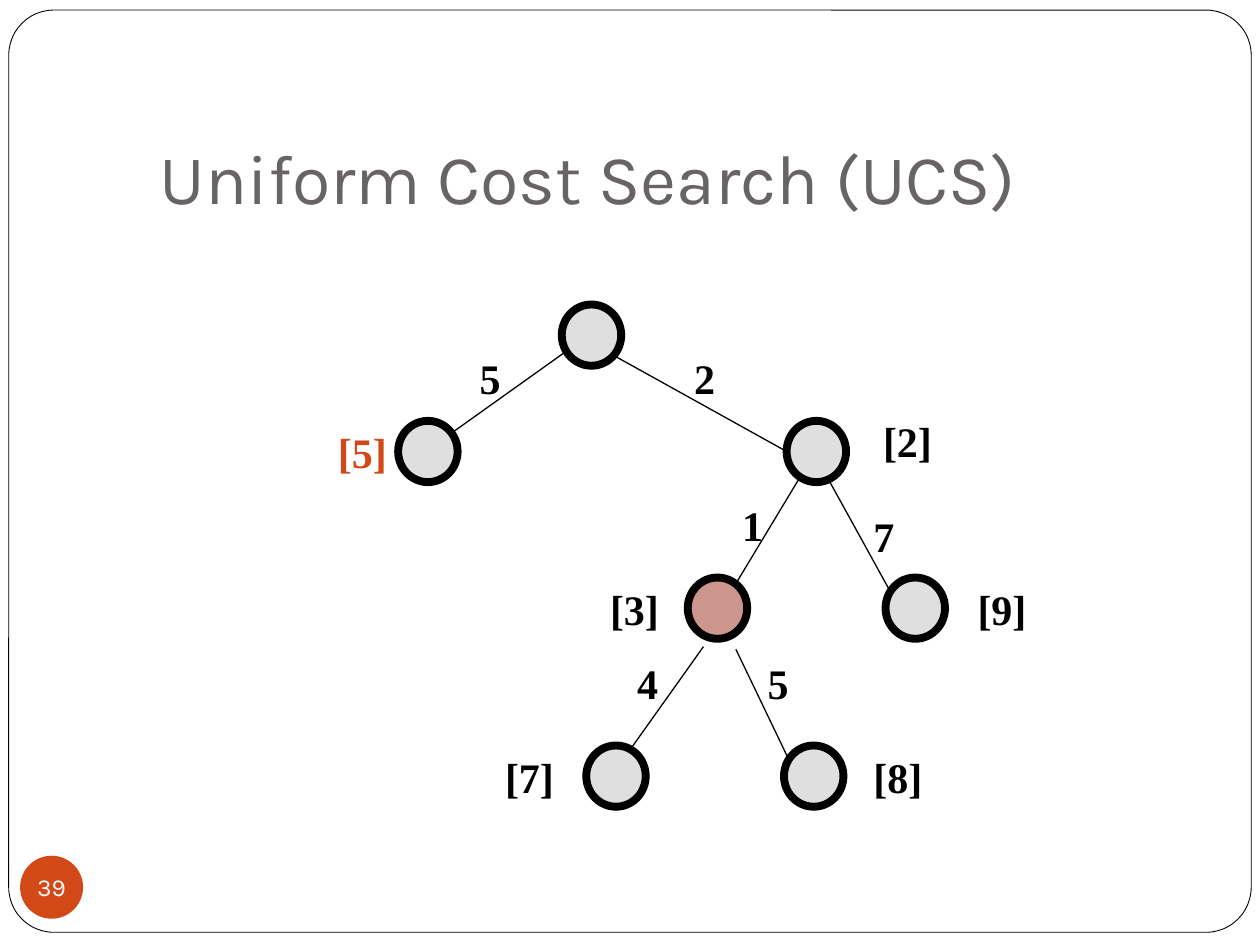
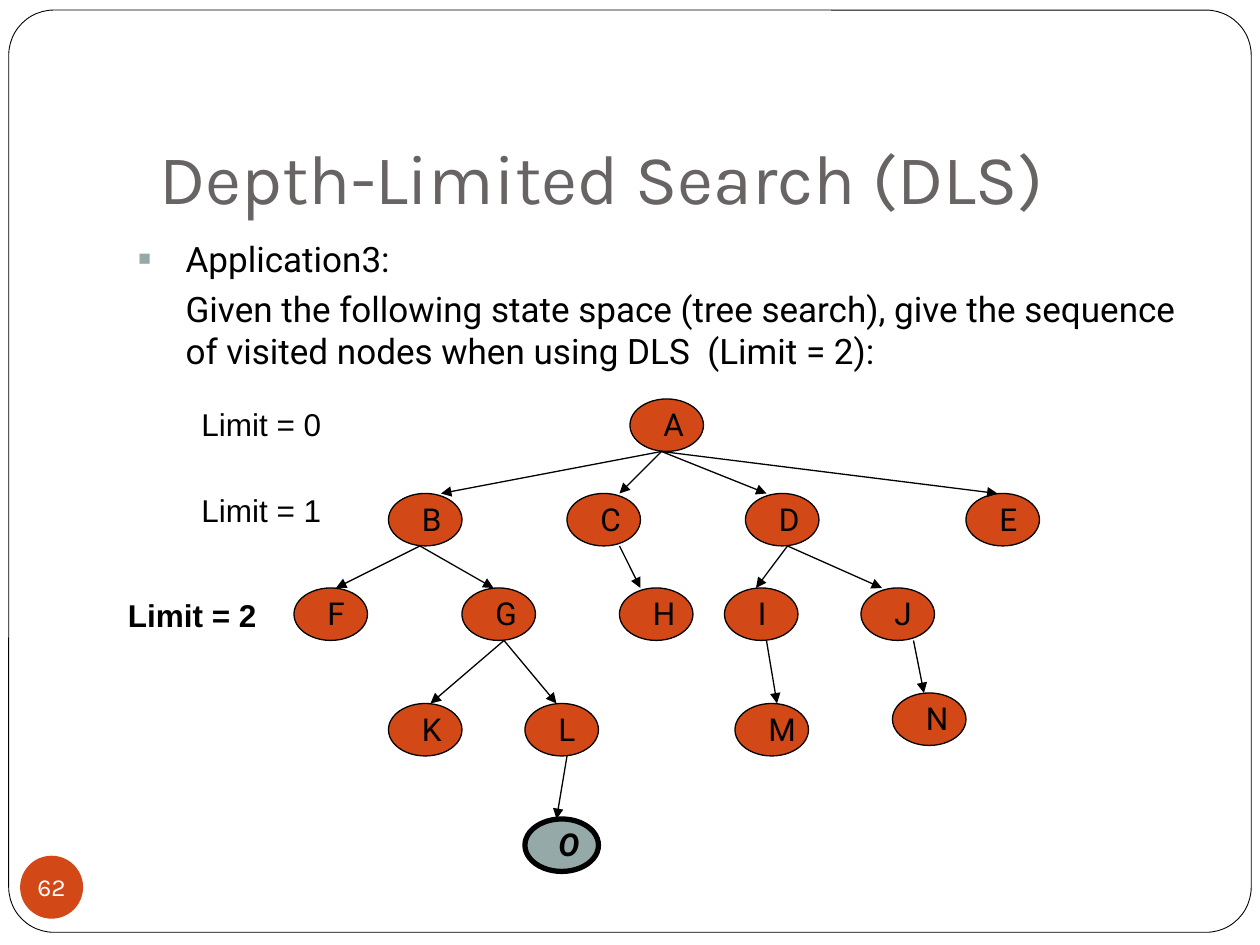
from dataclasses import dataclass
from typing import Any

import pptx
import pptx.dml.color
import pptx.enum.shapes
import pptx.enum.text
import pptx.oxml
import pptx.oxml.ns
import pptx.util

Pt = pptx.util.Pt
Shape = pptx.enum.shapes.MSO_SHAPE
Anchor = pptx.enum.text.MSO_ANCHOR
Align = pptx.enum.text.PP_ALIGN

BLACK, WHITE = "000000", "FFFFFF"
ORANGE, SAGE, GREY, SILVER, RUST = "D34817", "96A9A9", "696464", "C0C0C0", "9B2D1F"
TITLE_FONT, BODY_FONT, COST_FONT, LIMIT_FONT = "Karla", "Roboto", "Times New Roman", "Arial"


@dataclass(frozen=True)
class Style:
    font: str
    size: float
    color: str = BLACK
    bold: bool = False
    italic: bool = False


@dataclass(frozen=True)
class CostNode:
    left: float
    top: float
    fill: str = SILVER


@dataclass(frozen=True)
class CostEdge:
    start: tuple[float, float]
    end: tuple[float, float]


@dataclass(frozen=True)
class Label:
    text: str
    left: float
    top: float
    style: Style


@dataclass(frozen=True)
class TreeNode:
    """head and foot are the offsets where arrows arrive on top and leave below."""
    name: str
    left: float
    top: float
    parent: str = ""
    head: float = 18
    foot: float = 18
    goal: bool = False


TITLE = Style(TITLE_FONT, 40, GREY)
NUMBER = Style(TITLE_FONT, 14, WHITE)
BODY = Style(BODY_FONT, 20)
COST = Style(COST_FONT, 24, bold=True)
FRONTIER_COST = Style(COST_FONT, 24, ORANGE, bold=True)
NODE = Style(BODY_FONT, 18)
GOAL = Style(BODY_FONT, 18, bold=True, italic=True)
LIMIT = Style(LIMIT_FONT, 18)
LAST_LIMIT = Style(LIMIT_FONT, 18, bold=True)

COST_NODE_W, COST_NODE_H = 34, 35
TREE_NODE_W, TREE_NODE_H = 42, 30
LABEL_INDENT = 12

COST_NODES = [
    CostNode(321, 174),
    CostNode(227.5, 240.5), CostNode(449.5, 240.5),
    CostNode(506, 330), CostNode(393, 330, RUST),
    CostNode(448, 426), CostNode(335, 426),
]
COST_EDGES = [
    CostEdge((322.5, 201.5), (258, 247.5)), CostEdge((350.5, 203), (449.5, 258)),
    CostEdge((457, 273), (420.5, 333.5)), CostEdge((474, 275), (509, 338.5)),
    CostEdge((402, 369.5), (360, 428.5)), CostEdge((420.5, 371), (450, 432.5)),
]
STEP_COSTS = [
    Label("2", 389.5, 198, COST), Label("5", 267, 198, COST),
    Label("1", 417, 282, COST), Label("7", 492, 288, COST),
    Label("4", 357, 372, COST), Label("5", 431.5, 372, COST),
]
PATH_COSTS = [
    Label("[5]", 186, 240, FRONTIER_COST), Label("[2]", 497.5, 234, COST),
    Label("[9]", 551.5, 330, COST), Label("[3]", 341.5, 330, COST),
    Label("[7]", 281.5, 426, COST), Label("[8]", 492, 426, COST),
]
TREE_NODES = [
    TreeNode("A", 360, 228),
    TreeNode("B", 222, 282, "A", head=30),
    TreeNode("C", 324, 282, "A", head=30, foot=30),
    TreeNode("D", 426, 282, "A", head=12, foot=24),
    TreeNode("E", 552, 282, "A"),
    TreeNode("F", 168, 336, "B", head=24),
    TreeNode("G", 264, 336, "B", foot=24),
    TreeNode("H", 354, 336, "C", head=12),
    TreeNode("I", 414, 336, "D", foot=24),
    TreeNode("J", 492, 336, "D", head=12, foot=30),
    TreeNode("K", 222, 402, "G", head=24),
    TreeNode("L", 300, 402, "G", foot=24),
    TreeNode("M", 420, 402, "I", head=24),
    TreeNode("N", 510, 396, "J"),
    TreeNode("O", 300, 468, "L", goal=True),
]
LIMITS = [
    Label("Limit = 0", 108, 228, LIMIT),
    Label("Limit = 1", 108, 277, LIMIT),
    Label("Limit = 2", 66, 337, LAST_LIMIT),
]


def rgb(color: str) -> pptx.dml.color.RGBColor:
    return pptx.dml.color.RGBColor.from_string(color)


def add_xml(parent: Any, tag: str, **attributes: str) -> Any:
    child = pptx.oxml.parse_xml(f"<a:{tag} {pptx.oxml.ns.nsdecls('a')}/>")
    for name, value in attributes.items():
        child.set(name, value)
    parent.append(child)
    return child


def style_paragraph(p: Any, style: Style) -> None:
    p.font.name = style.font
    p.font.size = Pt(style.size)
    p.font.color.rgb = rgb(style.color)
    p.font.bold = style.bold
    p.font.italic = style.italic


def set_margins(tf: Any, left: float, top: float, right: float, bottom: float) -> None:
    tf.margin_left, tf.margin_top = Pt(left), Pt(top)
    tf.margin_right, tf.margin_bottom = Pt(right), Pt(bottom)


def add_shape(s: Any, kind: Any, left: float, top: float, width: float, height: float,
              fill: str, line_width: float = 0, opacity: int = 100) -> Any:
    sp = s.shapes.add_shape(kind, Pt(left), Pt(top), Pt(width), Pt(height))
    sp.shadow.inherit = False
    sp.fill.solid()
    sp.fill.fore_color.rgb = rgb(fill)
    if opacity < 100:
        solid = sp.fill._xPr.find(pptx.oxml.ns.qn("a:solidFill"))
        add_xml(solid[0], "alpha", val=str(opacity * 1000))
    if line_width:
        sp.line.color.rgb = rgb(BLACK)
        sp.line.width = Pt(line_width)
    else:
        sp.line.fill.background()
    return sp


def add_line(s: Any, start: tuple[float, float], end: tuple[float, float],
             arrow: bool = False) -> None:
    line = s.shapes.add_connector(pptx.enum.shapes.MSO_CONNECTOR.STRAIGHT,
                                  *map(Pt, start), *map(Pt, end))
    line.line.color.rgb = rgb(BLACK)
    line.line.width = Pt(0.75)
    if arrow:
        add_xml(line.line._get_or_add_ln(), "tailEnd", type="triangle")
    add_xml(line._element.spPr, "effectLst")


def add_label(s: Any, label: Label, width: float, height: float, wrap: bool = True) -> None:
    sp = s.shapes.add_textbox(Pt(label.left), Pt(label.top), Pt(width), Pt(height))
    tf = sp.text_frame
    tf.word_wrap = wrap
    set_margins(tf, 7.2, 3.6, 7.2, 3.6)
    p = tf.paragraphs[0]
    p.text = label.text
    style_paragraph(p, label.style)


def add_slide(prs: Any, title: str, number: int) -> Any:
    """Adds a slide with the rounded frame, title and number badge."""
    s = prs.slides.add_slide(prs.slide_layouts[5])
    sp = s.shapes.title
    sp.left, sp.top, sp.width, sp.height = Pt(84), Pt(42), Pt(612), Pt(90)
    tf = sp.text_frame
    tf.auto_size = pptx.enum.text.MSO_AUTO_SIZE.NONE
    tf.vertical_anchor = Anchor.BOTTOM
    set_margins(tf, 7.2, 3.6, 7.2, 7.2)
    p = tf.paragraphs[0]
    p.text = title
    p.alignment = Align.LEFT
    style_paragraph(p, TITLE)

    frame = add_shape(s, Shape.ROUNDED_RECTANGLE, 5, 5.75, 710, 527, WHITE, 0.5)
    frame.adjustments[0] = 0.049
    sp._element.addprevious(frame._element)

    badge = add_shape(s, Shape.OVAL, 11.5, 489, 36, 36, ORANGE)
    tf = badge.text_frame
    tf.word_wrap = False
    tf.vertical_anchor = Anchor.MIDDLE
    set_margins(tf, 0, 0, 0, 0)
    p = tf.paragraphs[0]
    p.text = str(number)
    p.alignment = Align.CENTER
    style_paragraph(p, NUMBER)
    return s


def add_exercise(s: Any) -> None:
    sp = s.shapes.add_textbox(Pt(72), Pt(132), Pt(612), Pt(66))
    tf = sp.text_frame
    tf.word_wrap = True
    set_margins(tf, 7.2, 3.6, 7.2, 3.6)
    heading, task = tf.paragraphs[0], tf.add_paragraph()
    heading.text = "Application3:"
    task.text = ("Given the following state space (tree search), give the sequence "
                 "of visited nodes when using DLS  (Limit = 2):")
    task.space_before = Pt(5)
    for p, hang in ((heading, 27), (task, 0)):
        pPr = p._p.get_or_add_pPr()
        pPr.set("marL", str(Pt(27)))
        pPr.set("indent", str(-Pt(hang)))
    pPr = heading._p.pPr
    add_xml(add_xml(pPr, "buClr"), "srgbClr", val=SAGE)
    add_xml(pPr, "buSzPct", val="60000")
    add_xml(pPr, "buFont", typeface="Arial")
    add_xml(pPr, "buChar", char="■")
    for p in tf.paragraphs:
        style_paragraph(p, BODY)


def build_uniform_cost(prs: Any) -> None:
    s = add_slide(prs, "Uniform Cost Search (UCS)", 39)
    for node in COST_NODES:
        add_shape(s, Shape.OVAL, node.left, node.top, COST_NODE_W, COST_NODE_H,
                  node.fill, 4.5, opacity=50)
    for edge in COST_EDGES:
        add_line(s, edge.start, edge.end)
    for labels, width in ((STEP_COSTS, 26), (PATH_COSTS, 42.5)):
        for label in labels:
            add_label(s, label, width, 36, wrap=False)


def build_depth_limited(prs: Any) -> None:
    s = add_slide(prs, "Depth-Limited Search (DLS)", 62)
    add_exercise(s)
    by_name = {node.name: node for node in TREE_NODES}
    for node in TREE_NODES:
        fill, line_width, style = (SAGE, 3, GOAL) if node.goal else (ORANGE, 0.75, NODE)
        add_shape(s, Shape.OVAL, node.left, node.top, TREE_NODE_W, TREE_NODE_H,
                  fill, line_width)
        add_label(s, Label(node.name, node.left + LABEL_INDENT, node.top, style), 30, 29)
    for node in TREE_NODES:
        if node.parent:
            parent = by_name[node.parent]
            add_line(s, (parent.left + parent.foot, parent.top + TREE_NODE_H),
                     (node.left + node.head, node.top), arrow=True)
    for label in LIMITS:
        add_label(s, label, 96, 29)


def main() -> None:
    prs = pptx.Presentation()
    prs.slide_width, prs.slide_height = Pt(720), Pt(540)
    build_uniform_cost(prs)
    build_depth_limited(prs)
    prs.save("out.pptx")


if __name__ == "__main__":
    main()
